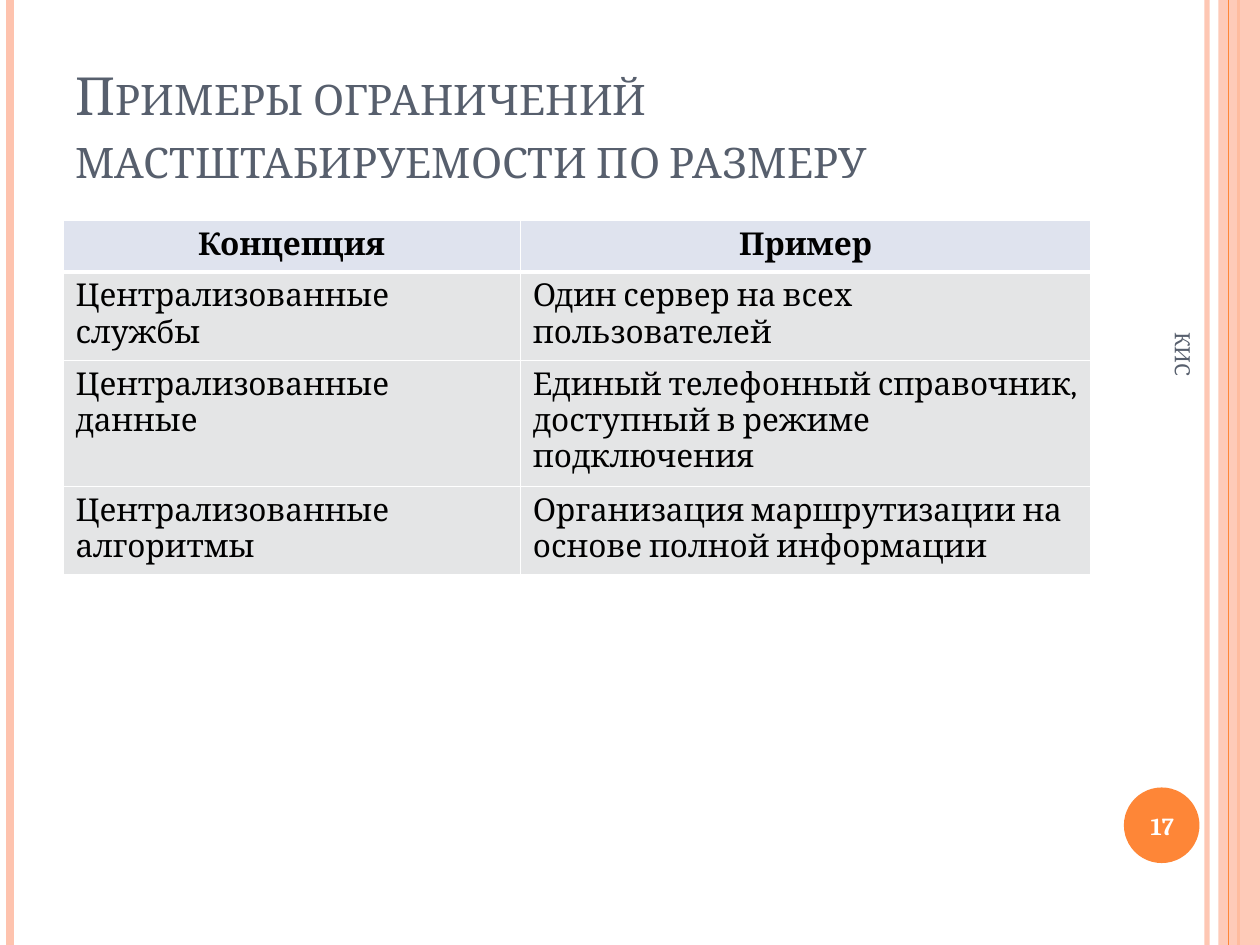
from dataclasses import dataclass

from lxml.etree import SubElement
from pptx import Presentation
from pptx.dml.color import RGBColor
from pptx.enum.shapes import MSO_CONNECTOR, MSO_SHAPE
from pptx.enum.text import MSO_ANCHOR, PP_ALIGN
from pptx.oxml.ns import qn
from pptx.util import Inches, Pt


@dataclass(frozen=True)
class Theme:
    font: str = "Cambria"
    accent: str = "FE8637"
    pale: str = "FEC3AE"
    heading: str = "575F6D"
    text: str = "000000"
    white: str = "FFFFFF"
    header_fill: str = "DFE3EE"
    body_fill: str = "E4E5E6"
    title_size: int = 30
    table_size: int = 18
    number_size: int = 14
    footer_size: int = 12


class SlideBuilder:
    """Draws styled elements on one slide."""

    def __init__(self, slide, theme):
        self.slide = slide
        self.theme = theme

    def set_alpha(self, fill, percent):
        color = fill._xPr.find(qn("a:solidFill"))[0]
        SubElement(color, qn("a:alpha"), val=str(percent * 1000))

    def style(self, paragraph, size, color, bold=False, align=PP_ALIGN.LEFT):
        paragraph.alignment = align
        font = paragraph.font
        font.name, font.size, font.bold = self.theme.font, Pt(size), bold
        font.color.rgb = RGBColor.from_string(color)

    def vertical_line(self, x, color, width, alpha=100):
        line = self.slide.shapes.add_connector(
            MSO_CONNECTOR.STRAIGHT, Inches(x), 0, Inches(x), Inches(7.5))
        line.line.width = Pt(width)
        line.line.color.rgb = RGBColor.from_string(color)
        if alpha < 100:
            self.set_alpha(line.line.fill, alpha)
        SubElement(line._element.spPr, qn("a:effectLst"))

    def shape(self, kind, box, color, alpha=100):
        shape = self.slide.shapes.add_shape(kind, *map(Inches, box))
        shape.shadow.inherit = False
        shape.fill.solid()
        shape.fill.fore_color.rgb = RGBColor.from_string(color)
        shape.line.fill.background()
        if alpha < 100:
            self.set_alpha(shape.fill, alpha)

    def text(self, content, box, size, color, anchor=MSO_ANCHOR.MIDDLE,
             rotation=0, small_caps=False, **style):
        shape = self.slide.shapes.add_textbox(*map(Inches, box))
        shape.rotation = rotation
        frame = shape.text_frame
        frame.word_wrap = True
        frame.vertical_anchor = anchor
        paragraph = frame.paragraphs[0]
        paragraph.text = content
        self.style(paragraph, size, color, **style)
        if small_caps:
            paragraph.font._element.set("cap", "small")

    def borders(self, cell, bottom):
        properties = cell._tc.get_or_add_tcPr()
        for side, width in (("L", 1), ("R", 1), ("T", 1), ("B", bottom)):
            line = SubElement(properties, qn(f"a:ln{side}"), w=str(Pt(width)))
            fill = SubElement(line, qn("a:solidFill"))
            SubElement(fill, qn("a:srgbClr"), val=self.theme.white)

    def table(self, rows, left, top, widths, row_height):
        theme = self.theme
        table = self.slide.shapes.add_table(
            len(rows), len(widths), Inches(left), Inches(top),
            Inches(sum(widths)), Inches(row_height * len(rows))).table
        for column, width in zip(table.columns, widths):
            column.width = Inches(width)
        for row_index, row in enumerate(rows):
            header = row_index == 0
            for column_index, content in enumerate(row):
                cell = table.cell(row_index, column_index)
                self.borders(cell, 3 if header else 1)
                cell.fill.solid()
                cell.fill.fore_color.rgb = RGBColor.from_string(
                    theme.header_fill if header else theme.body_fill)
                cell.text = content
                self.style(cell.text_frame.paragraphs[0], theme.table_size, theme.text,
                           header, PP_ALIGN.CENTER if header else PP_ALIGN.LEFT)


def main():
    presentation = Presentation()
    presentation.slide_width, presentation.slide_height = Inches(10), Inches(7.5)
    theme = Theme()
    builder = SlideBuilder(
        presentation.slides.add_slide(presentation.slide_layouts[6]), theme)

    builder.vertical_line(9.58, theme.pale, 3, alpha=93)
    builder.vertical_line(0.08, theme.pale, 4.5)
    builder.vertical_line(9.83, theme.accent, 1.5)
    builder.shape(MSO_SHAPE.RECTANGLE, (9.67, 0, 0.33, 7.5), theme.pale, alpha=87)
    builder.vertical_line(9.75, theme.accent, 0.75)
    builder.shape(MSO_SHAPE.OVAL, (8.92, 6.25, 0.6, 0.6), theme.accent)

    builder.text("Примеры ограничений мастштабируемости по размеру",
                 (0.5, 0.3, 8.17, 1.25), theme.title_size, theme.heading,
                 anchor=MSO_ANCHOR.BOTTOM, small_caps=True)
    builder.table([
        ("Концепция", "Пример"),
        ("Централизованные службы", "Один сервер на всех пользователей"),
        ("Централизованные данные",
         "Единый телефонный справочник, доступный в режиме подключения"),
        ("Централизованные алгоритмы",
         "Организация маршрутизации на основе полной информации"),
    ], 0.5, 1.75, (3.63, 4.53), 0.41)
    builder.text("17", (8.89, 6.27, 0.67, 0.57), theme.number_size, theme.white,
                 bold=True, align=PP_ALIGN.CENTER)
    builder.text("КИС", (7.64, 4.09, 3.5, 0.4), theme.footer_size, theme.heading,
                 rotation=90)

    presentation.save("out.pptx")


if __name__ == "__main__":
    main()
